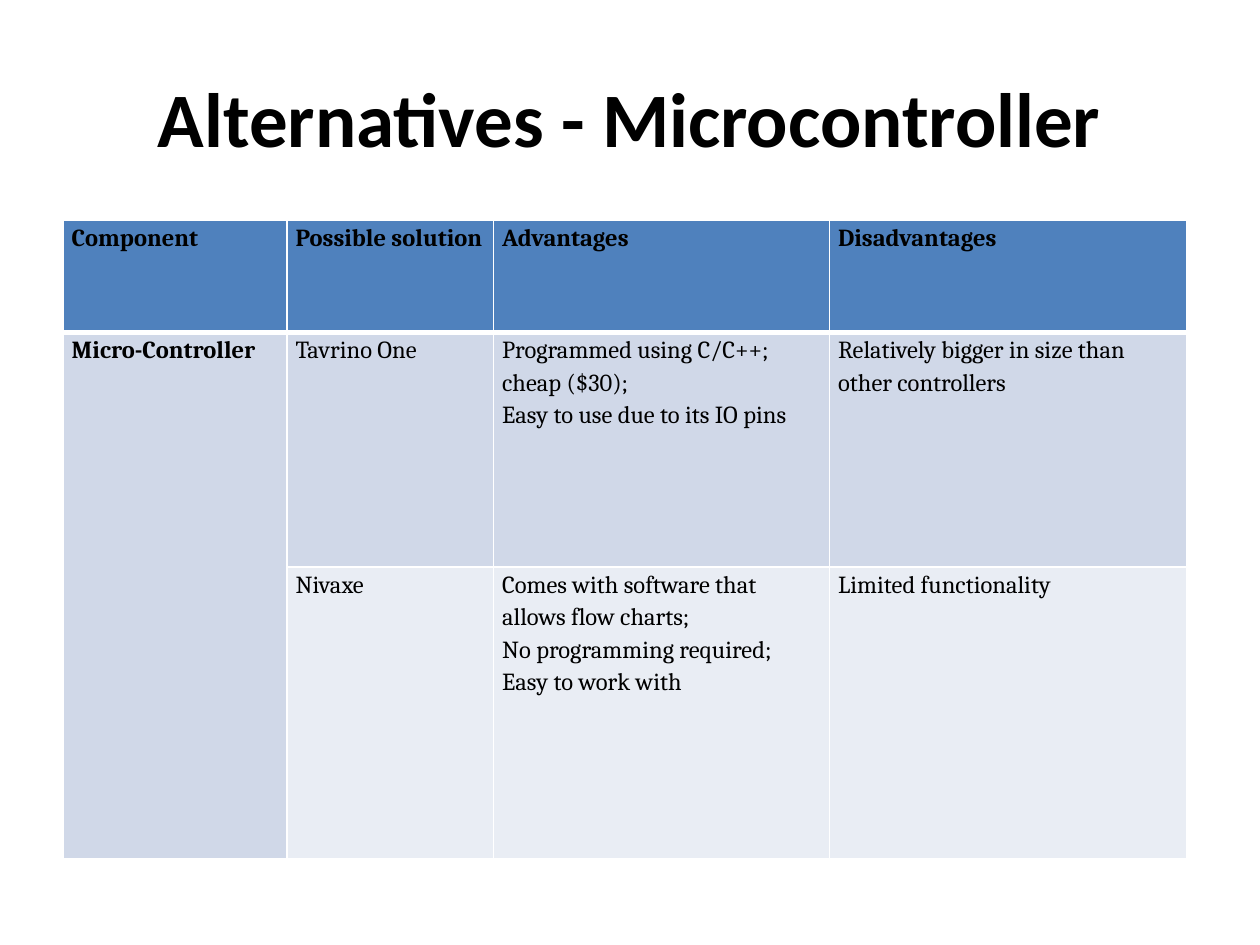
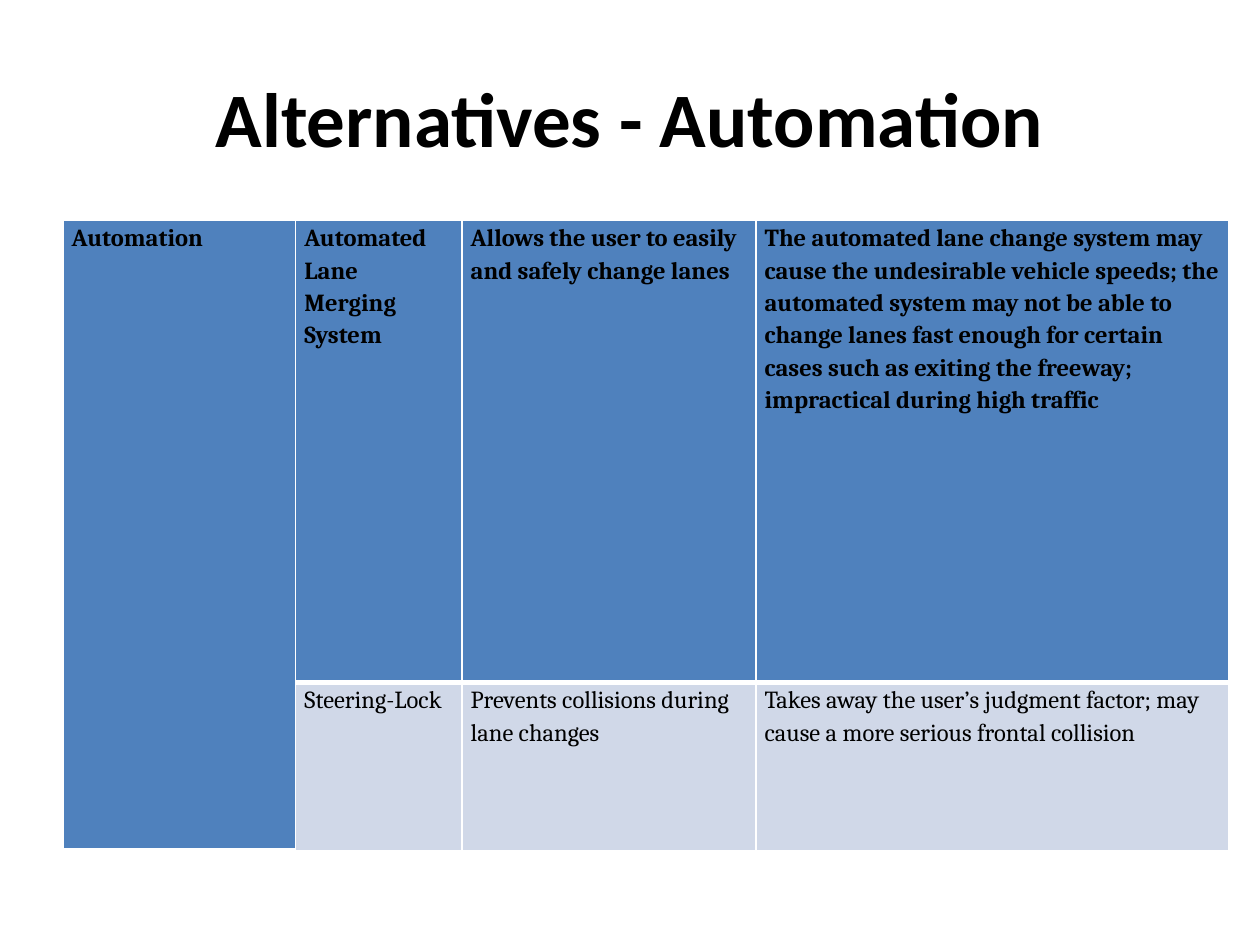
"""Build two slides comparing design alternatives in tables."""
from dataclasses import dataclass

from lxml.etree import SubElement
from pptx import Presentation
from pptx.dml.color import RGBColor
from pptx.enum.text import MSO_ANCHOR as Anchor, PP_ALIGN as Align
from pptx.oxml.ns import qn
from pptx.util import Pt


@dataclass(frozen=True)
class Theme:
    text: str = "000000"
    border: str = "FFFFFF"
    row_fills: tuple = ("4F81BD", "D0D8E8", "E9EDF4")
    title_font: str = "Calibri"
    title_size: int = 44
    table_font: str = "Cambria"
    table_size: int = 14
    thin: int = 1
    thick: int = 3


theme = Theme()


def style_text(text_frame, font_name, size, bold, alignment, spacing):
    for paragraph in text_frame.paragraphs:
        paragraph.alignment = alignment
        paragraph.line_spacing = spacing
        for run in paragraph.runs:
            run.font.name = font_name
            run.font.size = Pt(size)
            run.font.bold = bold
            run.font.color.rgb = RGBColor.from_string(theme.text)


def add_borders(cell, widths):
    properties = cell._tc.get_or_add_tcPr()
    for side, width in widths.items():
        line = SubElement(properties, qn(f"a:ln{side}"), w=str(Pt(width)))
        fill = SubElement(line, qn("a:solidFill"))
        SubElement(fill, qn("a:srgbClr"), val=theme.border)


slides = [
    {
        "title": "Alternatives - Microcontroller",
        "columns": (128, 118, 192, 204),
        "heights": (64, 134, 167),
        "merge": (1, 2),
        "rows": [
            ("Component", "Possible solution", "Advantages", "Disadvantages"),
            (
                "Micro-Controller",
                "Tavrino One",
                "Programmed using C/C++;\vcheap ($30);\nEasy to use due to its IO pins",
                "Relatively bigger in size than other controllers",
            ),
            (
                "",
                "Nivaxe",
                "Comes with software that allows flow charts;\n"
                "No programming required;\nEasy to work with",
                "Limited functionality",
            ),
        ],
    },
    {
        "title": "Alternatives - Automation",
        "columns": (133, 95, 168, 270),
        "heights": (264, 96),
        "merge": (0, 1),
        "rows": [
            (
                "Automation",
                "Automated Lane Merging System",
                "Allows the user to easily and safely change lanes",
                "The automated lane change system may cause the undesirable vehicle "
                "speeds; the automated system may not be able to change lanes fast "
                "enough for certain cases such as exiting the freeway; impractical "
                "during high traffic",
            ),
            (
                "",
                "Steering-Lock",
                "Prevents collisions during lane changes",
                "Takes away the user’s judgment factor; may cause a more serious "
                "frontal collision",
            ),
        ],
    },
]

presentation = Presentation()
presentation.slide_width, presentation.slide_height = Pt(720), Pt(540)

for content in slides:
    slide = presentation.slides.add_slide(presentation.slide_layouts[6])

    title = slide.shapes.add_textbox(Pt(36), Pt(21.6), Pt(648), Pt(90))
    title.text_frame.word_wrap = True
    title.text_frame.vertical_anchor = Anchor.MIDDLE
    title.text_frame.text = content["title"]
    style_text(title.text_frame, theme.title_font, theme.title_size, True, Align.CENTER, 1.0)

    columns, heights, rows = content["columns"], content["heights"], content["rows"]
    table = slide.shapes.add_table(
        len(rows), len(columns), Pt(36), Pt(126), Pt(sum(columns)), Pt(sum(heights))
    ).table
    for column, width in zip(table.columns, columns):
        column.width = Pt(width)
    for row, height in zip(table.rows, heights):
        row.height = Pt(height)
    first, last = content["merge"]
    table.cell(first, 0).merge(table.cell(last, 0))

    for row_index, texts in enumerate(rows):
        for column_index, text in enumerate(texts):
            cell = table.cell(row_index, column_index)
            if cell.is_spanned:
                continue
            add_borders(cell, {
                "L": theme.thin,
                "R": theme.thin,
                "T": theme.thick if row_index == 1 else theme.thin,
                "B": theme.thick if row_index == 0 else theme.thin,
            })
            cell.fill.solid()
            cell.fill.fore_color.rgb = RGBColor.from_string(theme.row_fills[row_index])
            cell.margin_left = cell.margin_right = Pt(5)
            cell.margin_top = cell.margin_bottom = 0
            cell.text_frame.text = text
            bold = row_index == 0 or column_index == 0
            style_text(cell.text_frame, theme.table_font, theme.table_size, bold, Align.LEFT, 1.15)

presentation.save("out.pptx")
